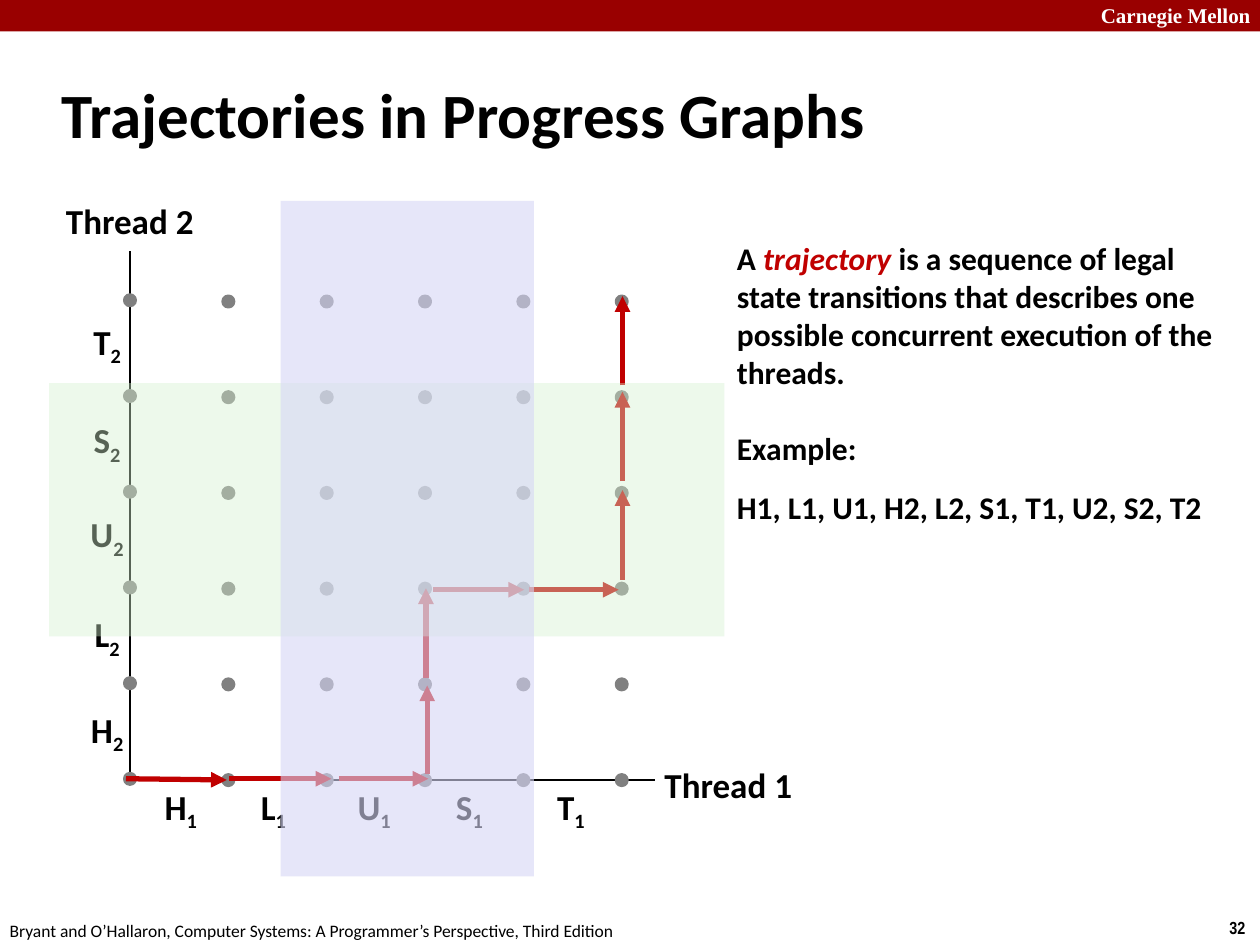
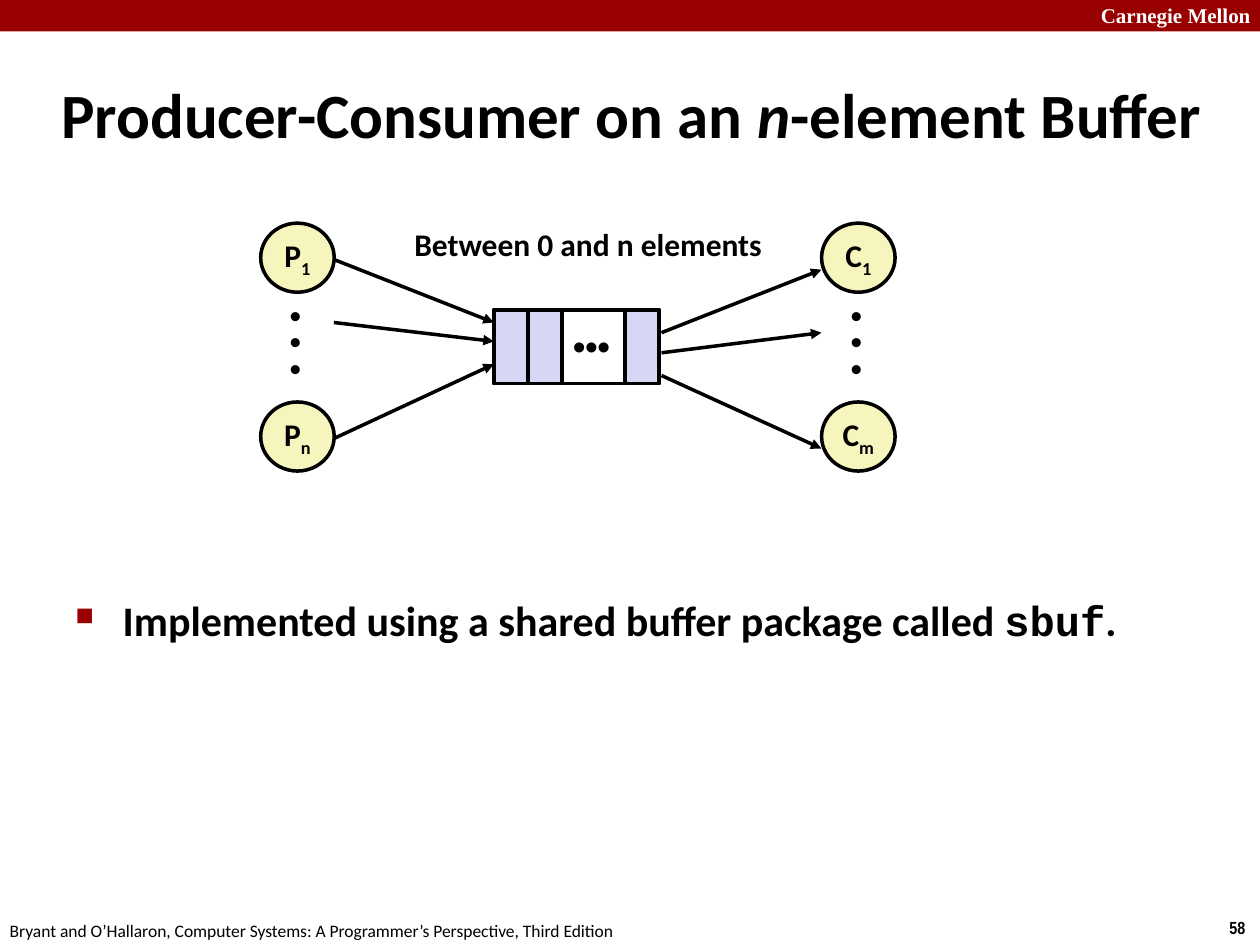
"""Build two slides on progress graphs and the producer-consumer buffer."""
import dataclasses
import lxml.etree
import pptx
import pptx.dml.color
import pptx.enum.shapes
import pptx.enum.text
import pptx.oxml.ns
import pptx.shapes.autoshape
import pptx.shapes.base
import pptx.slide
import pptx.text.text
import pptx.util

Pt = pptx.util.Pt
qn = pptx.oxml.ns.qn
KIND = pptx.enum.shapes.MSO_SHAPE
ALIGN = pptx.enum.text.PP_ALIGN
ANCHOR = pptx.enum.text.MSO_ANCHOR

HUES = {
    "band": "990000", "white": "FFFFFF", "ink": "000000", "path": "C00000",
    "dot": "808080", "green": "D5F1CF", "lilac": "D6D6F5", "cream": "F6F5BD",
}
WIDE, HIGH = 720, 540


@dataclasses.dataclass(frozen=True)
class Bit:
    text: str
    ital: bool = False
    hue: str = ""
    font: str = ""
    low: bool = False


@dataclasses.dataclass(frozen=True)
class Para:
    bits: tuple[Bit, ...]
    gap: float = 0


@dataclasses.dataclass(frozen=True)
class Style:
    size: float = 18
    font: str = "Calibri"
    bold: bool = True
    hue: str = "ink"
    align: ALIGN = ALIGN.LEFT
    mid: bool = False
    wrap: bool = False
    lead: float = 0
    inset: float = 3.6


@dataclasses.dataclass(frozen=True)
class Box:
    left: float
    top: float
    width: float
    height: float


@dataclasses.dataclass(frozen=True)
class Look:
    fill: str = ""
    line: str = ""
    weight: float = 2
    alpha: int = 100


@dataclasses.dataclass(frozen=True)
class Line:
    x1: float
    y1: float
    x2: float
    y2: float


HEAD = Style(size=36, mid=True, wrap=True)
MARK = Style(size=20, align=ALIGN.CENTER, mid=True)
NODE = Style(align=ALIGN.CENTER, mid=True, inset=0)
DOTS = Style(font="Arial", lead=0.7)
CELL = Look("lilac", "ink")


def tint(name: str) -> pptx.dml.color.RGBColor:
    """Look up a colour."""
    return pptx.dml.color.RGBColor.from_string(HUES[name])


def plain(text: str) -> tuple[Para, ...]:
    """Wrap a string as one paragraph."""
    return (Para((Bit(text),)),)


def index(base: str, sub: str) -> tuple[Para, ...]:
    """Make a letter with a subscript."""
    return (Para((Bit(base), Bit(sub, low=True))),)


def write(frame: pptx.text.text.TextFrame, paras: tuple[Para, ...], style: Style) -> None:
    """Fill a text frame and format its runs."""
    frame.word_wrap = style.wrap
    frame.margin_top = frame.margin_bottom = Pt(style.inset)
    frame.vertical_anchor = ANCHOR.MIDDLE if style.mid else ANCHOR.TOP
    frame.text = "\n".join(para.bits[0].text for para in paras)
    for item, para in zip(frame.paragraphs, paras):
        item.alignment = style.align
        if style.lead:
            item.line_spacing = style.lead
        if para.gap:
            item.space_before = Pt(para.gap)
        for bit in para.bits[1:]:
            item.add_run().text = bit.text
        for run, bit in zip(item.runs, para.bits):
            run.font.size = Pt(style.size)
            run.font.bold = style.bold
            run.font.italic = bit.ital
            run.font.name = bit.font or style.font
            run.font.color.rgb = tint(bit.hue or style.hue)
            if bit.low:
                run._r.get_or_add_rPr().set("baseline", "-25000")


def label(slide: pptx.slide.Slide, box: Box, paras: tuple[Para, ...],
          style: Style) -> pptx.shapes.base.BaseShape:
    """Add a text box."""
    area = slide.shapes.add_textbox(Pt(box.left), Pt(box.top), Pt(box.width), Pt(box.height))
    write(area.text_frame, paras, style)
    return area


def draw(slide: pptx.slide.Slide, kind: KIND, box: Box,
         look: Look) -> pptx.shapes.autoshape.Shape:
    """Add a preset shape."""
    shape = slide.shapes.add_shape(
        kind, Pt(box.left), Pt(box.top), Pt(box.width), Pt(box.height))
    shape.shadow.inherit = False
    if look.fill:
        shape.fill.solid()
        shape.fill.fore_color.rgb = tint(look.fill)
    else:
        shape.fill.background()
    if look.line:
        shape.line.color.rgb = tint(look.line)
        shape.line.width = Pt(look.weight)
    else:
        shape.line.fill.background()
    if look.alpha < 100:
        shade = shape._element.spPr.find(".//" + qn("a:srgbClr"))
        lxml.etree.SubElement(shade, qn("a:alpha")).set("val", str(look.alpha * 1000))
    return shape


def link(slide: pptx.slide.Slide, line: Line, hue: str, weight: float, tip: bool = True) -> None:
    """Add a straight line, with an arrowhead at its end if asked."""
    wire = slide.shapes.add_connector(
        pptx.enum.shapes.MSO_CONNECTOR.STRAIGHT,
        Pt(line.x1), Pt(line.y1), Pt(line.x2), Pt(line.y2))
    wire.line.color.rgb = tint(hue)
    wire.line.width = Pt(weight)
    if tip:
        stroke = wire.line._get_or_add_ln()
        lxml.etree.SubElement(stroke, qn("a:tailEnd")).set("type", "triangle")
    lxml.etree.SubElement(wire._element.spPr, qn("a:effectLst"))


def start(deck: pptx.presentation.Presentation, title: tuple[Para, ...],
          page: int) -> pptx.slide.Slide:
    """Add a slide with band, footer and title."""
    slide = deck.slides.add_slide(deck.slide_layouts[6])
    draw(slide, KIND.RECTANGLE, Box(0, 0, WIDE, 18), Look("band"))
    label(slide, Box(622, -2, 103, 22), plain("Carnegie Mellon"),
          Style(size=12, font="Times New Roman", hue="white", wrap=True))
    label(slide, Box(695.5, 520.5, 24.5, 19.5), plain(str(page)),
          Style(size=10, font="Arial Narrow"))
    label(slide, Box(-1.5, 522, 366, 19.5),
          plain("Bryant and O’Hallaron, Computer Systems: "
                "A Programmer’s Perspective, Third Edition"),
          Style(size=10, bold=False))
    label(slide, Box(28, 34.5, 674, 60), title, HEAD)
    return slide


def graph(deck: pptx.presentation.Presentation) -> None:
    """Draw the progress graph with a trajectory."""
    slide = start(deck, plain("Trajectories in Progress Graphs"), 32)
    note = (
        Para((Bit("A "), Bit("trajectory", ital=True, hue="path"),
              Bit(" is a sequence of legal state transitions that describes one "
                  "possible concurrent execution of the threads."))),
        Para((Bit("Example:"),), gap=22),
        Para((Bit("H1, L1, U1, H2, L2, S1, T1, U2, S2, T2"),), gap=12),
    )
    label(slide, Box(414, 132.5, 300, 172), note, Style(mid=True, wrap=True))
    for axis in (Line(74.2, 445.7, 374.4, 445.7), Line(74.2, 445.7, 74.2, 143.3)):
        link(slide, axis, "ink", 1, tip=False)
    mids = (103.3, 156.2, 213.8, 268.2, 326.2)
    tops = (402.5, 347.8, 290.9, 236.9, 180.7)
    for name, mid, top in zip("HLUST", mids, tops):
        label(slide, Box(mid - 17, 446.4, 34, 31.7), index(name, "1"), MARK)
        label(slide, Box(44.2, top, 34, 31.7), index(name, "2"), MARK)
    label(slide, Box(372.2, 432.7, 88, 31.7), plain("Thread 1"), MARK)
    label(slide, Box(30.2, 110.2, 88, 31.7), plain("Thread 2"), MARK)
    for col in range(6):
        base = 442.8 if col else 442.1
        for row in range(6):
            draw(slide, KIND.OVAL, Box(71.3 + 56.2 * col, base - 54.7 * row, 6, 6),
                 Look("dot", "dot"))
    steps = (
        Line(72, 445, 129.6, 445.7), Line(131, 445, 189.4, 445),
        Line(193.7, 445, 244.8, 445), Line(244.1, 442.1, 244.1, 391.7),
        Line(243.4, 387.4, 243.4, 336.2), Line(247.7, 337, 299.5, 337),
        Line(302.4, 337, 353.5, 337), Line(355.7, 331.2, 355.7, 280.1),
        Line(355.7, 275, 355.7, 223.9), Line(355.7, 220.3, 355.7, 169.2),
    )
    for step in steps:
        link(slide, step, "path", 3)
    draw(slide, KIND.RECTANGLE, Box(28, 218.9, 386, 144.7), Look("green", alpha=41))
    draw(slide, KIND.RECTANGLE, Box(160.4, 114.8, 144.7, 386), Look("lilac", alpha=60))


def buffer(deck: pptx.presentation.Presentation) -> None:
    """Draw producers and consumers around a shared buffer."""
    title = (Para((Bit("Producer-Consumer on an "), Bit("n", ital=True),
                   Bit("-element Buffer"))),)
    slide = start(deck, title, 58)
    text = (Para((Bit("Implemented using a shared buffer package called "),
                  Bit("sbuf", font="Courier New"), Bit("."))),)
    body = label(slide, Box(36, 336.2, 646.6, 85), text, Style(size=24, wrap=True))
    props = body.text_frame.paragraphs[0]._p.get_or_add_pPr()
    props.set("marL", str(Pt(27)))
    props.set("indent", str(Pt(-27)))
    shade = lxml.etree.SubElement(props, qn("a:buClr"))
    lxml.etree.SubElement(shade, qn("a:srgbClr")).set("val", HUES["band"])
    lxml.etree.SubElement(props, qn("a:buSzPct")).set("val", "60000")
    lxml.etree.SubElement(props, qn("a:buChar")).set("char", "■")

    for name, last, left in (("P", "n", 149), ("C", "m", 469.5)):
        for sub, top in (("1", 127.5), (last, 229.7)):
            node = draw(slide, KIND.OVAL, Box(left, top, 42, 39.5), Look("cream", "ink"))
            write(node.text_frame, index(name, sub), NODE)
        label(slide, Box(left + 9.6, 171.4, 23, 54), plain("•") * 3, DOTS)
    wires = (
        Line(190.8, 148.3, 282.2, 184.3), Line(190.8, 184.3, 282.2, 195.1),
        Line(190.8, 250.6, 282.2, 208.1), Line(378, 190.1, 469.4, 154.1),
        Line(378, 201.6, 469.4, 190.1), Line(378, 214.6, 469.4, 256.3),
    )
    for wire in wires:
        link(slide, wire, "ink", 2)
    for left in (282.2, 301.7, 357.1):
        draw(slide, KIND.RECTANGLE, Box(left, 177.1, 19.5, 42), CELL)
    label(slide, Box(301.7, 188.6, 72.7, 25.2), plain("•••"),
          Style(size=20, font="Arial", align=ALIGN.CENTER, wrap=True, lead=0.7))
    draw(slide, KIND.RECTANGLE, Box(282.2, 177.1, 94.4, 42), Look(line="ink"))
    label(slide, Box(229.7, 125.3, 216, 29), plain("Between 0 and n elements"), Style())


def main() -> None:
    """Build and save the deck."""
    deck = pptx.Presentation()
    deck.slide_width, deck.slide_height = Pt(WIDE), Pt(HIGH)
    graph(deck)
    buffer(deck)
    deck.save("out.pptx")


if __name__ == "__main__":
    main()
